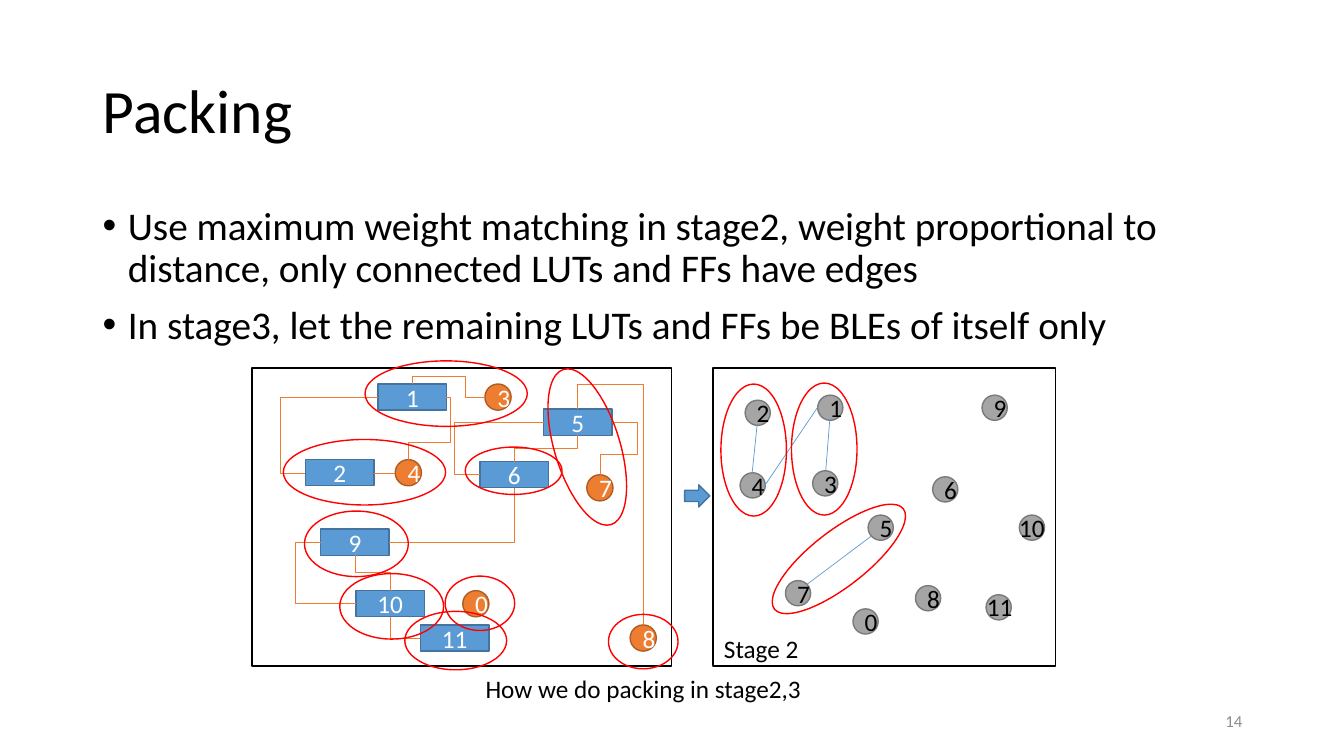
from lxml import etree
from pptx import Presentation
from pptx.dml.color import RGBColor
from pptx.enum.shapes import MSO_CONNECTOR, MSO_SHAPE
from pptx.enum.text import MSO_ANCHOR, PP_ALIGN
from pptx.oxml.ns import qn
from pptx.util import Inches, Pt

RECT, OVAL, ARROW = MSO_SHAPE.RECTANGLE, MSO_SHAPE.OVAL, MSO_SHAPE.RIGHT_ARROW
STRAIGHT, ELBOW = MSO_CONNECTOR.STRAIGHT, MSO_CONNECTOR.ELBOW
TOP, MIDDLE = MSO_ANCHOR.TOP, MSO_ANCHOR.MIDDLE
LEFT, CENTER, RIGHT = PP_ALIGN.LEFT, PP_ALIGN.CENTER, PP_ALIGN.RIGHT

BLACK = RGBColor(0x00, 0x00, 0x00)
WHITE = RGBColor(0xFF, 0xFF, 0xFF)
RED = RGBColor(0xFF, 0x00, 0x00)
BLUE = RGBColor(0x5B, 0x9B, 0xD5)
NAVY = RGBColor(0x43, 0x73, 0x9E)
ORANGE = RGBColor(0xED, 0x7D, 0x31)
BROWN = RGBColor(0xAF, 0x5C, 0x24)
GRAY = RGBColor(0xA5, 0xA5, 0xA5)
DARK = RGBColor(0x7A, 0x7A, 0x7A)
PALE = RGBColor(0x8C, 0x8C, 0x8C)
FONT = "Calibri"

TITLE = "Packing"
POINTS = [
    "Use maximum weight matching in stage2, weight proportional to "
    "distance, only connected LUTs and FFs have edges",
    "In stage3, let the remaining LUTs and FFs be BLEs of itself only",
]
LABELS = [
    ("How we do packing in stage2,3", (2.29, 6.63, 8.18, 0.4), CENTER),
    ("10", (10.01, 5.03, 0.46, 0.4), LEFT),
    ("11", (9.69, 5.82, 0.46, 0.4), LEFT),
    ("Stage 2", (7.02, 6.23, 1.06, 0.4), CENTER),
]
FRAMES = [(2.5, 3.65, 4.16, 2.96), (7.07, 3.65, 3.4, 2.96)]
LUTS = {
    "1": (3.75, 3.81), "5": (5.39, 4.06), "2": (3.03, 4.56), "6": (4.76, 4.58),
    "10": (3.53, 5.86), "9": (3.18, 5.25), "11": (4.17, 6.2),
}
FLOPS = {
    "3": (4.81, 3.81), "8": (6.25, 6.2), "4": (3.92, 4.56),
    "7": (5.82, 4.71), "0": (4.59, 5.86),
}
DOTS = {
    "0": (8.46, 6.04), "1": (8.11, 3.92), "2": (7.39, 3.97), "3": (8.06, 4.67),
    "4": (7.34, 4.69), "5": (8.61, 5.11), "6": (9.25, 4.73), "7": (7.79, 5.76),
    "8": (9.08, 5.81), "9": (9.74, 3.92), "10": (10.11, 5.11), "11": (9.78, 5.9),
}
WIRES = [
    [(3.71, 4.7), (3.92, 4.7)],
    [(3.75, 3.94), (2.78, 3.94), (2.78, 4.7), (3.03, 4.7)],
    [(5.4, 4.19), (4.51, 4.19), (4.51, 4.71), (4.76, 4.71)],
    [(5.73, 4.32), (5.73, 4.45), (5.1, 4.45), (5.1, 4.58)],
    [(5.1, 4.84), (5.1, 5.38), (3.86, 5.38)],
    [(3.18, 5.38), (2.93, 5.38), (2.93, 5.99), (3.53, 5.99)],
    [(3.52, 5.51), (3.52, 5.68), (3.87, 5.68), (3.87, 5.86)],
    [(3.87, 6.12), (3.87, 6.33), (4.17, 6.33)],
    [(5.73, 4.06), (5.73, 3.81), (6.38, 3.81), (6.38, 6.2)],
    [(6.07, 4.19), (6.32, 4.19), (6.32, 4.51), (5.95, 4.51), (5.95, 4.71)],
    [(4.42, 3.94), (4.47, 3.94), (4.47, 4.39), (4.05, 4.39), (4.05, 4.56)],
    [(4.81, 3.94), (4.62, 3.94), (4.62, 3.73), (4.09, 3.73), (4.09, 3.81)],
]
EDGES = [
    [(8.23, 4.16), (8.19, 4.67)], [(7.51, 4.21), (7.46, 4.69)],
    [(8.64, 5.32), (8, 5.8)], [(8.11, 4.04), (7.59, 4.81)],
]
RINGS = [
    (7.85, 3.8, 0.65, 1.31, 0), (7.15, 3.81, 0.65, 1.31, 0),
    (7.51, 5.27, 1.62, 0.55, 142.1), (3.29, 3.88, 0.65, 1.61, 270),
    (4.1, 3.1, 0.65, 1.61, 270), (5.5, 3.63, 0.65, 1.61, 343),
    (3.21, 4.88, 0.65, 1.03, 270), (3.56, 5.5, 0.65, 1.03, 270),
    (4.23, 5.85, 0.58, 1.01, 270), (4.49, 5.64, 0.54, 0.69, 270),
    (4.86, 4.19, 0.47, 0.96, 270), (6.11, 6.02, 0.54, 0.69, 270),
]

deck = Presentation()
deck.slide_width, deck.slide_height = Inches(13.33), Inches(7.5)
shapes = deck.slides.add_slide(deck.slide_layouts[6]).shapes


def style(para, size, color, align):
    para.alignment = align
    para.font.name, para.font.size = FONT, Pt(size)
    para.font.color.rgb = color


def add_text(lines, box, size, color=BLACK, align=LEFT, anchor=TOP, wrap=True):
    frame = shapes.add_textbox(*map(Inches, box)).text_frame
    frame.word_wrap, frame.vertical_anchor = wrap, anchor
    frame.text = "\n".join(lines)
    for para in frame.paragraphs:
        style(para, size, color, align)
    return frame.paragraphs


def add_part(kind, box, fill, line, text="", color=WHITE, turn=0):
    part = shapes.add_shape(kind, *map(Inches, box))
    part.shadow.inherit = False
    part.rotation = turn
    if fill is None:
        part.fill.background()
    else:
        part.fill.solid()
        part.fill.fore_color.rgb = fill
    part.line.color.rgb, part.line.width = line, Pt(1)
    if text:
        part.text_frame.text = text
        style(part.text_frame.paragraphs[0], 18, color, CENTER)


def add_wire(route, color):
    (ax, ay), (bx, by) = route[0], route[-1]
    legs = len(route) - 1
    down = legs > 1 and route[1][0] == ax
    dx, dy = bx - ax, by - ay
    start, end = (ax, ay), (bx, by)
    if down:
        mx, my = (ax + bx) / 2, (ay + by) / 2
        start = (mx - dy / 2, my + dx / 2)
        end = (mx + dy / 2, my - dx / 2)
    kind = ELBOW if legs > 1 else STRAIGHT
    wire = shapes.add_connector(kind, *map(Inches, start + end))
    wire.line.color.rgb, wire.line.width = color, Pt(0.5)
    props = wire.element.spPr
    etree.SubElement(props, qn("a:effectLst"))
    if legs == 1:
        return
    if down:
        props.find(qn("a:xfrm")).set("rot", "5400000")
    geom = props.find(qn("a:prstGeom"))
    geom.set("prst", f"bentConnector{legs}")
    guides = geom.find(qn("a:avLst"))
    for num in range(1, legs - 1):
        axis = (num + 1 + down) % 2
        share = (route[num][axis] - route[0][axis]) / (dx, dy)[axis]
        guide = etree.SubElement(guides, qn("a:gd"))
        guide.set("name", f"adj{num}")
        guide.set("fmla", f"val {round(share * 100000)}")


add_text([TITLE], (0.92, 0.4, 11.5, 1.45), 44, anchor=MIDDLE)[0].line_spacing = 0.9
for para in add_text(POINTS, (0.92, 2, 11.5, 2.31), 28):
    para.line_spacing, para.space_before = 0.9, Pt(10)
    props = para._p.get_or_add_pPr()
    props.set("marL", str(Inches(0.25)))
    props.set("indent", str(Inches(-0.25)))
    etree.SubElement(props, qn("a:buFont")).set("typeface", "Arial")
    etree.SubElement(props, qn("a:buChar")).set("char", "•")
    props.append(props.find(qn("a:defRPr")))
add_text(["14"], (9.42, 6.95, 3, 0.4), 12, PALE, RIGHT, MIDDLE)

for text, (x, y) in LUTS.items():
    add_part(RECT, (x, y, 0.68, 0.26), BLUE, NAVY, text)
for text, (x, y) in FLOPS.items():
    add_part(OVAL, (x, y, 0.26, 0.26), ORANGE, BROWN, text)
for route in WIRES:
    add_wire(route, ORANGE)
for text, (x, y) in DOTS.items():
    inner = text if len(text) == 1 else ""
    add_part(OVAL, (x, y, 0.25, 0.25), GRAY, DARK, inner, BLACK)
for route in EDGES:
    add_wire(route, BLUE)
for box in FRAMES:
    add_part(RECT, box, None, BLACK)
for text, box, align in LABELS:
    add_text([text], box, 18, align=align, wrap=False)
for *box, turn in RINGS:
    add_part(OVAL, box, None, RED, turn=turn)
add_part(ARROW, (6.79, 4.81, 0.25, 0.22), BLUE, NAVY)

deck.save("out.pptx")
